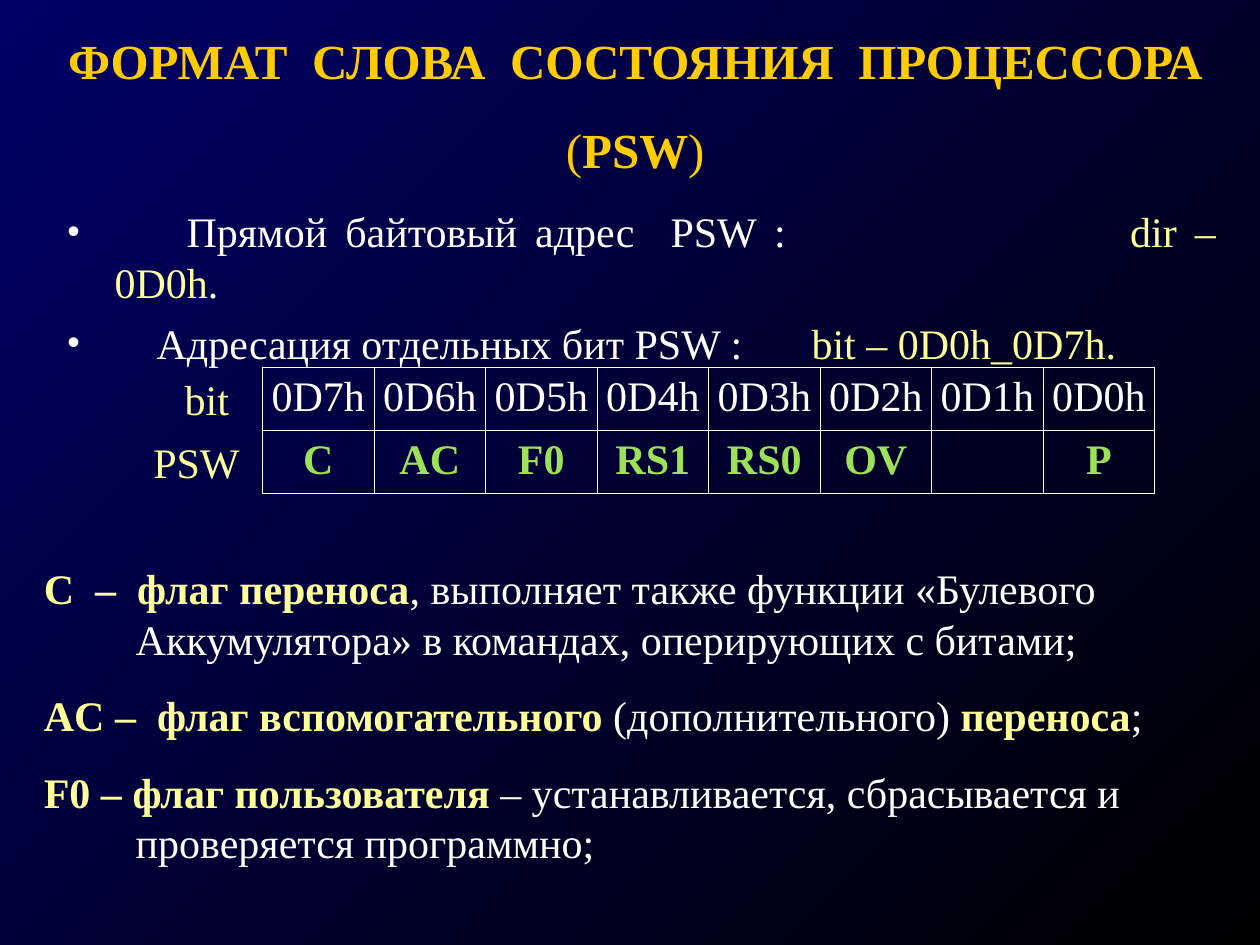
from pptx import Presentation
from pptx.dml.color import RGBColor
from pptx.enum.text import MSO_ANCHOR as Anchor, MSO_AUTO_SIZE as AutoSize, PP_ALIGN as Align
from pptx.oxml.ns import qn
from pptx.util import Pt
from lxml.etree import SubElement

FONT = "Times New Roman"
WHITE = RGBColor(0xFF, 0xFF, 0xFF)
GOLD = RGBColor(0xFF, 0xCC, 0x00)
YELLOW = RGBColor(0xFF, 0xFF, 0x99)
GREEN = RGBColor(0x9C, 0xE1, 0x57)
NAVY = RGBColor(0x00, 0x00, 0x66)
BLACK = RGBColor(0x00, 0x00, 0x00)

# Text formats: size, colour, bold
HEADING = (28, GOLD, True)
HEADING_THIN = (28, GOLD, False)
PLAIN = (24, WHITE, False)
ACCENT = (24, YELLOW, False)
TERM = (24, YELLOW, True)
FLAG = (24, GREEN, True)

TITLE = [
    [("ФОРМАТ  СЛОВА  СОСТОЯНИЯ  ПРОЦЕССОРА", HEADING)],
    [("(", HEADING_THIN), ("PSW", HEADING), (")", HEADING_THIN)],
]
# Alignment, tab stops, spans
ADDRESSES = [
    (Align.JUSTIFY, (75.4, 593),
     [("\tПрямой байтовый адрес  PSW :\t", PLAIN), ("dir – 0D0h", ACCENT), (".", PLAIN)]),
    (Align.LEFT, (58.3, 432.5),
     [("\tАдресация отдельных бит PSW :\t", PLAIN), ("bit – 0D0h_0D7h.", ACCENT)]),
]
BITS = [
    (["0D7h", "0D6h", "0D5h", "0D4h", "0D3h", "0D2h", "0D1h", "0D0h"], PLAIN),
    (["C", "AC", "F0", "RS1", "RS0", "OV", "", "P"], FLAG),
]
ROW_LABELS = [("bit", (66, 210, 72, 34.5)), ("PSW", (60, 246, 84, 34.5))]
FLAGS = [
    [("C  –  флаг переноса", TERM),
     (", выполняет также функции «Булевого Аккумулятора» в командах, "
      "оперирующих с битами;", PLAIN)],
    [("AC –  флаг вспомогательного", TERM), (" (дополнительного) ", PLAIN),
     ("переноса", TERM), (";", PLAIN)],
    [("F0 – флаг пользователя", TERM),
     (" – устанавливается, сбрасывается и проверяется программно;", PLAIN)],
]
TABLE_LEFT, TABLE_TOP, COLUMN_WIDTH, ROW_HEIGHT = 150, 210, 63.75, 36
OUTER_LINE, INNER_LINE = 1.08, 0.45


def place(shape, left, top, width, height):
    for name, value in dict(left=left, top=top, width=width, height=height).items():
        setattr(shape, name, Pt(value))


def write(frame, paragraphs, align, gap=0):
    """Fill a text frame with lists of spans; gap is the space between paragraphs."""
    for index, spans in enumerate(paragraphs):
        para = frame.add_paragraph() if index else frame.paragraphs[0]
        para.alignment = align
        para.space_before = Pt(gap if index else 0)
        for text, (size, color, bold) in spans:
            span = para.add_run()
            span.text = text
            for name, value in dict(name=FONT, size=Pt(size), bold=bold).items():
                setattr(span.font, name, value)
            span.font.color.rgb = color


def set_indent(para, left, first):
    properties = para._p.get_or_add_pPr()
    properties.set("marL", str(Pt(left)))
    properties.set("indent", str(Pt(first)))
    return properties


def add_bullet(para, stops):
    properties = set_indent(para, 34.3, -27)
    color = SubElement(properties, qn("a:buClr"))
    SubElement(color, qn("a:srgbClr"), val=str(WHITE))
    SubElement(properties, qn("a:buSzPct"), val="85000")
    SubElement(properties, qn("a:buChar"), char="•")
    tabs = SubElement(properties, qn("a:tabLst"))
    for stop in stops:
        SubElement(tabs, qn("a:tab"), pos=str(Pt(stop)), algn="l")


def add_text_box(slide, area, paragraphs, align, gap=0):
    box = slide.shapes.add_textbox(*map(Pt, area))
    box.text_frame.word_wrap = True
    write(box.text_frame, paragraphs, align, gap)
    return box


def set_borders(cell, outer_sides):
    properties = cell._tc.get_or_add_tcPr()
    for index, (tag, outer) in enumerate(zip(("lnL", "lnR", "lnT", "lnB"), outer_sides)):
        width = OUTER_LINE if outer else INNER_LINE
        line = properties.makeelement(qn("a:" + tag), {"w": str(Pt(width))})
        fill = SubElement(line, qn("a:solidFill"))
        SubElement(fill, qn("a:srgbClr"), val=str(WHITE))
        properties.insert(index, line)


def add_bit_table(slide):
    rows, columns = len(BITS), len(BITS[0][0])
    frame = slide.shapes.add_table(
        rows, columns, Pt(TABLE_LEFT), Pt(TABLE_TOP),
        Pt(columns * COLUMN_WIDTH), Pt(rows * ROW_HEIGHT))
    table = frame.table
    table.first_row = table.horz_banding = False
    for r, (texts, style) in enumerate(BITS):
        table.rows[r].height = Pt(ROW_HEIGHT)
        for c, text in enumerate(texts):
            cell = table.cell(r, c)
            cell.fill.background()
            cell.margin_left = cell.margin_right = Pt(3)
            cell.margin_top = cell.margin_bottom = Pt(3.6)
            write(cell.text_frame, [[(text, style)] if text else []], Align.CENTER)
            set_borders(cell, (c == 0, c == columns - 1, r == 0, r == rows - 1))


def main():
    deck = Presentation()
    deck.slide_width, deck.slide_height = Pt(720), Pt(540)
    slide = deck.slides.add_slide(deck.slide_layouts[1])

    background = slide.background.fill
    background.gradient()
    background.gradient_angle = 315
    for stop, color in zip(background.gradient_stops, (NAVY, BLACK)):
        stop.color.rgb = color

    title, body = slide.placeholders
    place(title, 24, 13, 678, 93.6)
    title.text_frame.vertical_anchor = Anchor.MIDDLE
    write(title.text_frame, TITLE, Align.CENTER, gap=17.5)

    place(body, 24, 114, 678, 408)
    write(body.text_frame, [spans for _, _, spans in ADDRESSES], Align.LEFT, gap=6)
    for para, (align, stops, _) in zip(body.text_frame.paragraphs, ADDRESSES):
        para.alignment = align
        add_bullet(para, stops)
    for shape in (title, body):
        shape.text_frame.auto_size = AutoSize.NONE

    add_bit_table(slide)
    for label, area in ROW_LABELS:
        add_text_box(slide, area, [[(label, ACCENT)]], Align.RIGHT)
    flags = add_text_box(slide, (18, 318, 684, 181.5), FLAGS, Align.LEFT, gap=15)
    for para in flags.text_frame.paragraphs:
        set_indent(para, 52.5, -52.5)

    deck.save("out.pptx")


if __name__ == "__main__":
    main()
